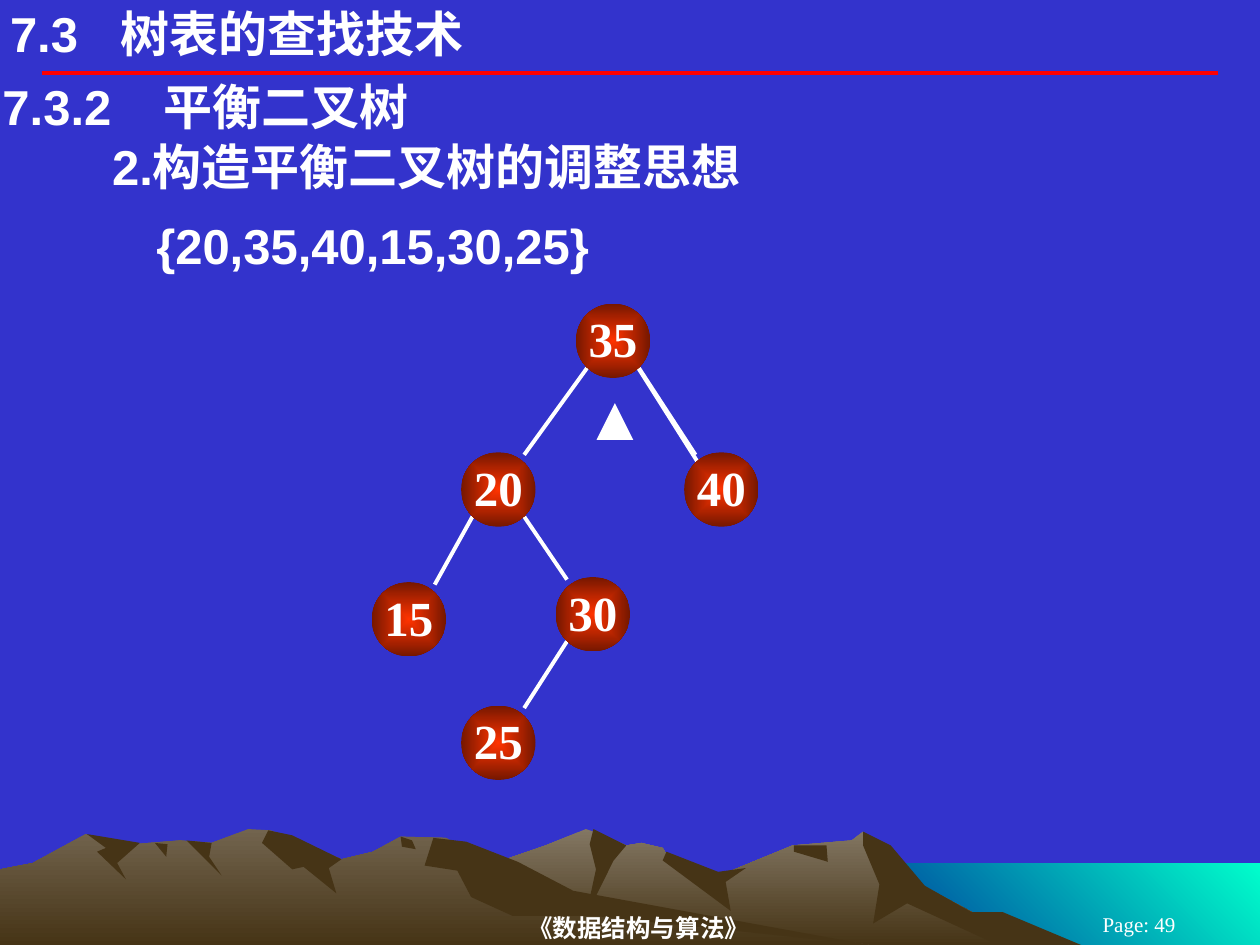
import pptx
import pptx.util
import pptx.dml.color
import pptx.enum.shapes
import pptx.enum.text
import pptx.oxml
import pptx.oxml.ns

Inches = pptx.util.Inches
ALIGN = pptx.enum.text.PP_ALIGN
ANCHOR = pptx.enum.text.MSO_ANCHOR

COLORS = {
    "background": "3333CC", "white": "FFFFFF", "rule": "FF0000",
    "sea_light": "00FFCC", "sea_dark": "003399",
    "rock": "837763", "near_rock": "72644E", "shade": "463416",
    "node_center": "FF3300", "node_edge": "751700",
}

# Text: wording, left, top, and tab stop or indent in inches
HEADINGS = [
    ("7.3\t树表的查找技术", 0.06, 0.02, dict(tab=0.88)),
    ("7.3.2\t平衡二叉树", 0, 0.6, dict(tab=1.28)),
    ("2.构造平衡二叉树的调整思想", 0, 1.07, dict(indent=0.87)),
    ("{20,35,40,15,30,25}", 0.04, 1.7, dict(indent=1.18)),
]

# Tree: top left corner of each node, and the parent and child of each edge
NODE_SIZE = 0.59
NODES = {"35": (4.57, 2.41), "20": (3.66, 3.59), "40": (5.43, 3.59),
         "15": (2.95, 4.62), "30": (4.41, 4.58), "25": (3.66, 5.6)}
EDGES = [("35", "20"), ("35", "40"), ("20", "15"), ("20", "30"), ("30", "25")]
EDGE_INSET = 0.09      # from the side of a node to the end of its edge
PARENT_DROP = 0.51     # from the top of a parent to the start of its edge
SECOND_EDGE = (5.04, 2.88, 5.59, 3.75)

# Landscape, back to front: fill colours, gradient angle, outline in inches
LANDSCAPE = [
    (("sea_light", "sea_dark"), 225, [(6.83, 6.85), (10, 6.85), (10, 7.5), (6.83, 7.5)]),
    (("rock", "shade"), 270, [
        (2.58, 7.5), (3.55, 6.98), (4.33, 6.71), (4.65, 6.58), (4.74, 6.61), (4.97, 6.71),
        (5.09, 6.69), (5.26, 6.73), (5.36, 6.9), (5.66, 6.97), (6.29, 6.71), (6.76, 6.67),
        (6.85, 6.6), (7.23, 6.98), (8.2, 7.5)]),
    (("shade",), None, [
        (6.85, 6.6), (7.07, 6.71), (7.34, 7.03), (7.71, 7.24), (7.96, 7.24), (8.58, 7.5),
        (7.92, 7.5), (7.2, 7.17), (6.93, 7.33), (6.98, 7.02), (6.85, 6.71)]),
    (("shade",), None, [
        (4.71, 6.58), (4.97, 6.71), (4.87, 6.83), (4.65, 7.27), (4.73, 6.9), (4.68, 6.7)]),
    (("shade",), None, [
        (5.29, 6.76), (5.7, 6.92), (5.92, 6.89), (5.76, 7), (5.8, 7.23), (5.26, 6.83)]),
    (("shade",), None, [(6.3, 6.71), (6.56, 6.71), (6.57, 6.84), (6.3, 6.76)]),
    (("near_rock", "shade"), 270, [
        (0, 7.5), (0, 6.9), (0.26, 6.85), (0.68, 6.62), (0.94, 6.71), (1.43, 6.67),
        (1.68, 6.69), (1.97, 6.58), (2.15, 6.59), (2.71, 6.82), (2.96, 6.76), (3.18, 6.64),
        (3.54, 6.65), (4.32, 7.12), (6.9, 7.5)]),
    (("shade",), None, [
        (2.13, 6.59), (2.32, 6.63), (2.71, 6.82), (2.61, 6.89), (2.67, 7.09), (2.41, 6.88),
        (2.32, 6.9), (2.08, 6.69)]),
    (("shade",), None, [
        (3.44, 6.65), (3.7, 6.68), (4.11, 6.84), (4.55, 7.07), (6.9, 7.5), (4.72, 7.27),
        (4.07, 7.27), (3.74, 7.12), (3.63, 6.91), (3.37, 6.87)]),
    (("shade",), None, [(3.18, 6.64), (3.27, 6.67), (3.3, 6.74), (3.19, 6.72)]),
    (("shade",), None, [(1.48, 6.67), (1.68, 6.69), (1.66, 6.8), (1.76, 6.95)]),
    (("shade",), None, [(1.23, 6.69), (1.33, 6.7), (1.32, 6.8)]),
    (("shade",), None, [
        (0.69, 6.62), (1.11, 6.69), (0.93, 6.85), (1, 6.98), (0.77, 6.76), (0.84, 6.73)]),
]


def rgb(name):
    return pptx.dml.color.RGBColor.from_string(COLORS[name])


def paint(shape, names, angle=None):
    shape.shadow.inherit = False
    shape.line.fill.background()
    if len(names) == 1:
        shape.fill.solid()
        shape.fill.fore_color.rgb = rgb(names[0])
        return
    shape.fill.gradient()
    for stop, name in zip(shape.fill.gradient_stops, names):
        stop.color.rgb = rgb(name)
    if angle is not None:
        shape.fill.gradient_angle = angle


def make_radial(shape):
    linear = shape._element.spPr.find(".//" + pptx.oxml.ns.qn("a:lin"))
    radial = pptx.oxml.parse_xml(
        f'<a:path {pptx.oxml.ns.nsdecls("a")} path="rect">'
        '<a:fillToRect l="50000" t="50000" r="50000" b="50000"/></a:path>')
    linear.getparent().replace(linear, radial)


def write(shape, text, size=28, font="Arial", bold=True, align=ALIGN.LEFT, anchor=ANCHOR.TOP,
          margins=(0.02, 0.01, 0.02, 0.01), wrap=True, tab=None, indent=None):
    frame = shape.text_frame
    frame.word_wrap = wrap
    frame.vertical_anchor = anchor
    (frame.margin_left, frame.margin_top,
     frame.margin_right, frame.margin_bottom) = map(Inches, margins)
    paragraph = frame.paragraphs[0]
    paragraph.text = text
    paragraph.alignment = align
    properties = paragraph._p.get_or_add_pPr()
    if indent is not None:
        properties.set("marL", str(Inches(indent)))
    if tab is not None:
        properties.append(pptx.oxml.parse_xml(
            f'<a:tabLst {pptx.oxml.ns.nsdecls("a")}>'
            f'<a:tab pos="{Inches(tab)}" algn="l"/></a:tabLst>'))
    run_font = paragraph.runs[0].font
    run_font.size = pptx.util.Pt(size)
    run_font.name = font
    run_font.bold = bold
    run_font.color.rgb = rgb("white")


def add_text(slide, text, box, **text_format):
    write(slide.shapes.add_textbox(*map(Inches, box)), text, **text_format)


def add_line(slide, ends, color="white", width=2.25, arrow=False):
    line = slide.shapes.add_connector(
        pptx.enum.shapes.MSO_CONNECTOR.STRAIGHT, *map(Inches, ends))
    line.line.color.rgb = rgb(color)
    line.line.width = pptx.util.Pt(width)
    namespace = pptx.oxml.ns.nsdecls("a")
    if arrow:
        line.line._get_or_add_ln().append(
            pptx.oxml.parse_xml(f'<a:tailEnd {namespace} type="triangle"/>'))
    line._element.spPr.append(pptx.oxml.parse_xml(f"<a:effectLst {namespace}/>"))


def edge_ends(parent, child):
    (parent_x, parent_y), (child_x, child_y) = NODES[parent], NODES[child]
    near, far = EDGE_INSET, NODE_SIZE - EDGE_INSET
    start, end = (near, far) if child_x < parent_x else (far, near)
    return parent_x + start, parent_y + PARENT_DROP, child_x + end, child_y + 0.02


def main():
    presentation = pptx.Presentation()
    presentation.slide_width, presentation.slide_height = Inches(10), Inches(7.5)
    slide = presentation.slides.add_slide(presentation.slide_layouts[6])
    slide.background.fill.solid()
    slide.background.fill.fore_color.rgb = rgb("background")

    # Landscape
    for names, angle, outline in LANDSCAPE:
        points = [(Inches(x), Inches(y)) for x, y in outline]
        builder = slide.shapes.build_freeform(*points[0])
        builder.add_line_segments(points[1:], close=True)
        paint(builder.convert_to_shape(), names, angle)

    # Rule, footer and headings
    add_line(slide, (0.33, 0.58, 9.67, 0.58), color="rule")
    footer = dict(font="Times New Roman", align=ALIGN.CENTER, anchor=ANCHOR.MIDDLE)
    add_text(slide, "《数据结构与算法》", (2.08, 7.22, 6.06, 0.28), size=14,
             margins=(0, 0.01, 0.08, 0.01), **footer)
    add_text(slide, "Page: 49", (8.25, 7.25, 1.58, 0.17), size=12, bold=False,
             margins=(0.1, 0.05, 0.1, 0.05), **footer)
    for text, left, top, text_format in HEADINGS:
        add_text(slide, text, (left, top, 9.96 - left, 0.49), **text_format)

    # Tree
    for parent, child in EDGES:
        add_line(slide, edge_ends(parent, child))
    add_line(slide, SECOND_EDGE)
    add_line(slide, (4.88, 3.43, 4.88, 3.2), width=7, arrow=True)
    for key, corner in NODES.items():
        node = slide.shapes.add_shape(pptx.enum.shapes.MSO_SHAPE.OVAL,
                                      *map(Inches, (*corner, NODE_SIZE, NODE_SIZE)))
        paint(node, ("node_center", "node_edge"))
        make_radial(node)
        write(node, key, font="Times New Roman", align=ALIGN.CENTER, anchor=ANCHOR.MIDDLE,
              margins=(0.1, 0.01, 0.1, 0.05), wrap=False)

    presentation.save("out.pptx")


if __name__ == "__main__":
    main()
